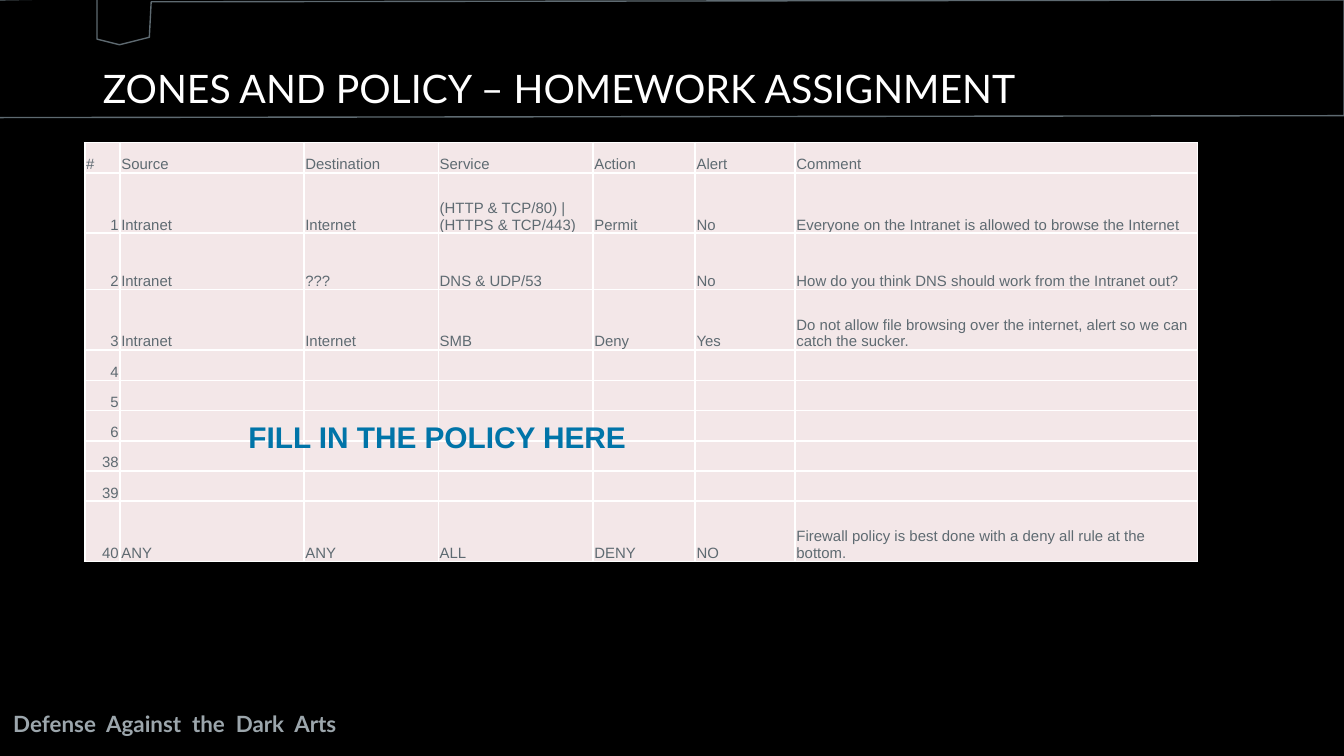
from dataclasses import dataclass

from lxml.etree import SubElement
from pptx import Presentation
from pptx.dml.color import RGBColor
from pptx.enum.text import MSO_ANCHOR, PP_ALIGN
from pptx.oxml import parse_xml
from pptx.oxml.ns import nsdecls, qn
from pptx.util import Pt


@dataclass(frozen=True)
class Theme:
    """Colours, fonts and type sizes of the deck."""
    back: str = "000000"
    line: str = "5E6A71"
    title: str = "FFFFFF"
    foot: str = "9CA6AC"
    cell: str = "F3E7E8"
    grid: str = "FFFFFF"
    call: str = "0074A8"
    head: str = "Lato"
    body: str = "Arial"
    large: float = 21
    mid: float = 16
    note: float = 12
    small: float = 8


THEME = Theme()
COLS = (18.9, 98.6, 72, 82.8, 54.8, 53.5, 215.6)
SHORT, TALL = 16.2, 32.4
ROWS = (
    (SHORT, "#", "Source", "Destination", "Service", "Action", "Alert", "Comment"),
    (TALL, "1", "Intranet", "Internet", "(HTTP & TCP/80) |\v(HTTPS & TCP/443)",
     "Permit", "No", "Everyone on the Intranet is allowed to browse the Internet"),
    (30.2, "2", "Intranet", "???", "DNS & UDP/53", "", "No",
     "How do you think DNS should work from the Intranet out?"),
    (TALL, "3", "Intranet", "Internet", "SMB", "Deny", "Yes",
     "Do not allow file browsing over the internet, alert so we can catch the sucker."),
    *((SHORT, num, *[""] * 6) for num in ("4", "5", "6", "38", "39")),
    (TALL, "40", "ANY", "ANY", "ALL", "DENY", "NO",
     "Firewall policy is best done with a deny all rule at the bottom."),
)


def tint(hue):
    """Turn a hex string into a colour."""
    return RGBColor.from_string(hue)


def style(para, font, size, hue, bold=False):
    """Format every run of a paragraph."""
    for run in para.runs:
        run.font.name = font
        run.font.size = Pt(size)
        run.font.bold = bold
        run.font.color.rgb = tint(hue)


def add_text(slide, box, text, font, size, hue, bold=False, wrap=True):
    """Place one line of text, centred on the height of its box."""
    frame = slide.shapes.add_textbox(*map(Pt, box)).text_frame
    frame.word_wrap = wrap
    frame.vertical_anchor = MSO_ANCHOR.MIDDLE
    frame.text = text
    style(frame.paragraphs[0], font, size, hue, bold)
    return frame.paragraphs[0]


def add_band(slide, box):
    """Draw the title band with its notched tab."""
    left, top, width, height = box
    right, base = left + width, top + height
    points = [(left + 53, top), (left + 53, top + 21.2), (left + 65.6, top + 25),
              (left + 81.6, top + 20.2), (left + 82.1, top + 1.1),
              (right, top + 0.7), (right, base - 0.7), (left, base),
              (left, top + 0.7)]
    pen = slide.shapes.build_freeform(*points[0], scale=Pt(1))
    pen.add_line_segments(points[1:], close=True)
    band = pen.convert_to_shape()
    band.shadow.inherit = False
    band.fill.solid()
    band.fill.fore_color.rgb = tint(THEME.back)
    for node in band.fill._xPr.iter(qn("a:srgbClr")):
        SubElement(node, qn("a:alpha"), val="50000")
    band.line.color.rgb = tint(THEME.line)
    band.line.width = Pt(0.75)


def add_edges(cell):
    """Rule all four sides of a cell."""
    props = cell._tc.get_or_add_tcPr()
    for spot, side in enumerate("LRTB"):
        props.insert(spot, parse_xml(
            f'<a:ln{side} {nsdecls("a")} w="{Pt(1)}"><a:solidFill>'
            f'<a:srgbClr val="{THEME.grid}"/></a:solidFill></a:ln{side}>'))


def fill_cell(cell, text, align):
    """Set the text, fill and edges of a cell."""
    cell.text = text
    cell.vertical_anchor = MSO_ANCHOR.BOTTOM
    cell.margin_left = cell.margin_right = cell.margin_top = Pt(0.7)
    cell.margin_bottom = Pt(0)
    para = cell.text_frame.paragraphs[0]
    para.alignment = align
    style(para, THEME.body, THEME.small, THEME.line)
    if not text:
        SubElement(para._p, qn("a:endParaRPr"), sz=str(int(THEME.small * 100)))
    cell.fill.solid()
    cell.fill.fore_color.rgb = tint(THEME.cell)
    add_edges(cell)


def add_policy(slide, box):
    """Build the table of firewall rules."""
    table = slide.shapes.add_table(len(ROWS), len(COLS), *map(Pt, box)).table
    table.first_row = table.horz_banding = False
    scale = box[2] / sum(COLS)
    for col, width in zip(table.columns, COLS):
        col.width = Pt(width * scale)
    for row, (height, *texts) in enumerate(ROWS):
        table.rows[row].height = Pt(height)
        for col, text in enumerate(texts):
            right = row > 0 and col == 0
            align = PP_ALIGN.RIGHT if right else PP_ALIGN.LEFT
            fill_cell(table.cell(row, col), text, align)


def build_slide(deck):
    """Compose the homework slide."""
    slide = deck.slides.add_slide(deck.slide_layouts[6])
    slide.background.fill.solid()
    slide.background.fill.fore_color.rgb = tint(THEME.back)
    add_text(slide, (0, 376.6, 240, 21.6), "Defense  Against  the  Dark  Arts",
             THEME.head, THEME.note, THEME.foot, bold=True)
    add_band(slide, (-1.4, -0.6, 721.4, 63.2))
    title = add_text(slide, (48, 26, 516.2, 44.6),
                     "ZONES AND POLICY – HOMEWORK ASSIGNMENT",
                     THEME.head, THEME.large, THEME.title)
    title.line_spacing = 0.95
    add_policy(slide, (45.4, 76.4, 596.2, 224.6))
    add_text(slide, (126, 220.4, 219.6, 26.6), "FILL IN THE POLICY HERE",
             THEME.body, THEME.mid, THEME.call, bold=True, wrap=False)


def main():
    """Make and save the deck."""
    deck = Presentation()
    deck.slide_width, deck.slide_height = Pt(720), Pt(405)
    build_slide(deck)
    deck.save("out.pptx")


if __name__ == "__main__":
    main()
